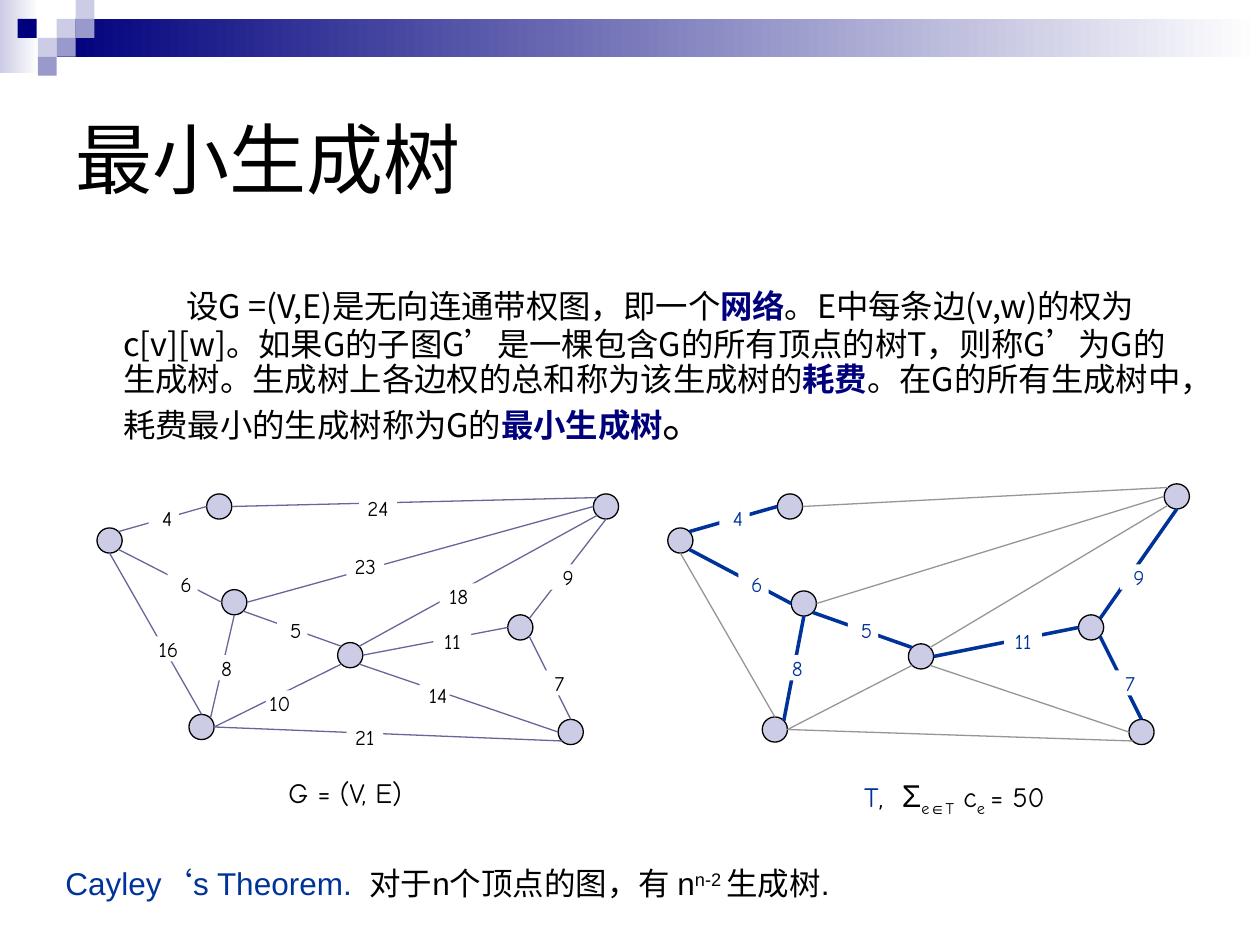
from dataclasses import dataclass
from math import cos, radians, sin

from lxml import etree
from pptx import Presentation
from pptx.dml.color import RGBColor
from pptx.enum.shapes import MSO_CONNECTOR, MSO_SHAPE
from pptx.enum.text import MSO_ANCHOR, PP_ALIGN
from pptx.oxml.ns import qn
from pptx.util import Inches, Pt

RECT, OVAL = MSO_SHAPE.RECTANGLE, MSO_SHAPE.OVAL
STRAIGHT = MSO_CONNECTOR.STRAIGHT
TOP, MIDDLE = MSO_ANCHOR.TOP, MSO_ANCHOR.MIDDLE
LEFT, CENTER = PP_ALIGN.LEFT, PP_ALIGN.CENTER


@dataclass(frozen=True)
class Theme:
    black: str = "000000"
    white: str = "FFFFFF"
    navy: str = "00007D"
    lilac: str = "CCCCE6"
    violet: str = "9999CC"
    edge: str = "666699"
    tree: str = "003399"
    faded: str = "969696"
    cjk: str = "Noto Sans CJK SC"
    latin: str = "Arial"
    hand: str = "Comic Neue"
    title: float = 44
    large: float = 25.9
    body: float = 18.5
    theorem: float = 18
    caption: float = 16
    weight: float = 12


theme = Theme()
deck = Presentation()
deck.slide_width, deck.slide_height = Inches(10), Inches(7.5)
page = deck.slides.add_slide(deck.slide_layouts[6])


def add_block(kind, left, top, width, height, color, end_color=None):
    """Add a borderless shape, flat or with a left-to-right gradient."""
    block = page.shapes.add_shape(
        kind, Inches(left), Inches(top), Inches(width), Inches(height))
    block.shadow.inherit = False
    block.line.fill.background()
    if end_color:
        block.fill.gradient()
        block.fill.gradient_angle = 0
        for stop, shade in zip(block.fill.gradient_stops, (color, end_color)):
            stop.color.rgb = RGBColor.from_string(shade)
    else:
        block.fill.solid()
        block.fill.fore_color.rgb = RGBColor.from_string(color)
    return block


def write(box, spans, font, size, color=theme.black, inset=(0.1, 0.05),
          anchor=TOP, **layout):
    """Fill a box with one paragraph; each span is (text, changes)."""
    frame = box.text_frame
    side, edge = map(Inches, inset)
    for name, value in {"word_wrap": True, "vertical_anchor": anchor,
                        "margin_left": side, "margin_right": side,
                        "margin_top": edge, "margin_bottom": edge}.items():
        setattr(frame, name, value)
    para = frame.paragraphs[0]
    for name, value in {"alignment": LEFT, **layout}.items():
        setattr(para, name, value)
    for text, changes in spans:
        style = {"font": font, "size": size, "color": color, "bold": False,
                 "baseline": 0, **changes}
        span = para.add_run()
        span.text = text
        for name, value in {"name": style["font"], "size": Pt(style["size"]),
                            "bold": style["bold"]}.items():
            setattr(span.font, name, value)
        span.font.color.rgb = RGBColor.from_string(style["color"])
        properties = span.font._element
        if style["baseline"]:
            properties.set("baseline", str(style["baseline"] * 1000))
        etree.SubElement(properties, qn("a:ea"), typeface=theme.cjk)
    return para


# Header band and its small squares
add_block(RECT, 0, 0, 0.31, 0.58, theme.lilac, theme.white)
add_block(RECT, 0.45, 0.15, 9.55, 0.3, theme.navy, theme.white)
for left, top, color in [
        (0.45, 0.15, theme.lilac), (0.6, 0, theme.lilac),
        (0.6, 0.15, theme.violet), (0.3, 0.3, theme.lilac),
        (0.14, 0.15, theme.navy), (0.45, 0.3, theme.violet),
        (0.3, 0.45, theme.violet)]:
    add_block(RECT, left, top, 0.15, 0.15, color)

# Title
title_box = page.shapes.add_textbox(
    Inches(0.5), Inches(0.5), Inches(9), Inches(1.5))
write(title_box, [("最小生成树", {})], theme.cjk, theme.title, anchor=MIDDLE)

# Definition
term = {"color": theme.navy, "bold": True}
arial = {"font": theme.latin}
definition_box = page.shapes.add_textbox(
    Inches(0.5), Inches(2.17), Inches(9), Inches(2.42))
definition = write(definition_box, [
    ("\t\t", {"size": theme.large}),
    ("设G =(V,E)是无向连通带权图，即一个", {}),
    ("网络", term),
    ("。E中每条边(v,w)的权为c[v][w]。如果G的子图G", {}),
    ("’", arial),
    ("是一棵包含G的所有顶点的树T，则称G", {}),
    ("’", arial),
    ("为G的生成树。生成树上各边权的总和称为该生成树的", {}),
    ("耗费", term),
    ("。在G的所有生成树中，耗费最小的生成树称为G的", {}),
    ("最小生成树", term),
    ("。", {"size": theme.large}),
], theme.cjk, theme.body, line_spacing=0.9, space_before=Pt(7))
definition_format = definition._p.get_or_add_pPr()
for name, value in {"marL": 0.38, "indent": -0.38}.items():
    definition_format.set(name, str(Inches(value)))

# Vertices: left and top of each circle in the two drawings
DIAMETER = 0.2
graph_vertices = {
    "a": (0.77, 4.19), "h": (4.71, 3.92), "g": (4.43, 5.71), "b": (1.64, 3.92),
    "c": (1.76, 4.68), "d": (1.5, 5.67), "f": (4.03, 4.88), "e": (2.68, 5.1)}
tree_vertices = {
    "a": (5.3, 4.19), "h": (9.24, 3.84), "g": (8.96, 5.71), "b": (6.17, 3.92),
    "c": (6.28, 4.69), "d": (6.05, 5.69), "f": (8.56, 4.88), "e": (7.21, 5.11)}
TREE_SHIFT = 4.53

# Edges: start, its side, end, its side, weight, label left, top, width, in tree
ANGLES = {side: 45 * step for step, side in
          enumerate(["E", "SE", "S", "SW", "W", "NW", "N", "NE"])}
edges = [
    ("a", "NE", "b", "W", " 4", 1.18, 4.01, 0.24, True),
    ("a", "SE", "c", "W", " 6", 1.33, 4.54, 0.24, True),
    ("a", "S", "d", "N", " 16", 1.19, 5.05, 0.24, False),
    ("c", "E", "h", "W", "23", 2.75, 4.39, 0.3, False),
    ("f", "NE", "h", "S", "9", 4.36, 4.48, 0.3, True),
    ("c", "SE", "e", "NW", " 5", 2.2, 4.9, 0.24, True),
    ("e", "SE", "g", "W", " 14", 3.33, 5.42, 0.24, False),
    ("e", "E", "f", "W", "11", 3.44, 4.99, 0.3, True),
    ("f", "SE", "g", "N", "7", 4.29, 5.32, 0.3, True),
    ("h", "SW", "e", "NE", "18", 3.49, 4.63, 0.3, False),
    ("c", "S", "d", "NE", " 8", 1.65, 5.2, 0.24, True),
    ("d", "E", "e", "SW", "10 ", 2.11, 5.48, 0.28, False),
    ("b", "E", "h", "NW", "24", 2.85, 3.93, 0.3, False),
    ("d", "E", "g", "SW", "21", 2.75, 5.75, 0.29, False)]

# Graph on the left, its minimum spanning tree on the right
for vertices, shift, tree_only in [(graph_vertices, 0, False),
                                   (tree_vertices, TREE_SHIFT, True)]:
    for left, top in vertices.values():
        vertex = add_block(OVAL, left, top, DIAMETER, DIAMETER, theme.lilac)
        vertex.line.color.rgb = RGBColor.from_string(theme.black)
        vertex.line.width = Pt(0.75)

    for start, start_side, end, end_side, *_, in_tree in edges:
        ends = []
        for vertex, side in [(start, start_side), (end, end_side)]:
            angle = radians(ANGLES[side])
            for corner, direction in zip(vertices[vertex], (cos, sin)):
                ends.append(Inches(corner + DIAMETER / 2 * (1 + direction(angle))))
        edge = page.shapes.add_connector(STRAIGHT, *ends)
        bold = tree_only and in_tree
        color = theme.tree if bold else theme.faded if tree_only else theme.edge
        edge.line.color.rgb = RGBColor.from_string(color)
        edge.line.width = Pt(2 if bold else 0.75)
        etree.SubElement(edge._element.spPr, qn("a:effectLst"))

    for *_, weight, left, top, width, in_tree in edges:
        if in_tree or not tree_only:
            label = add_block(RECT, left + shift, top, width, 0.2, theme.white)
            write(label, [(weight, {})], theme.hand, theme.weight,
                  theme.tree if tree_only else theme.black, inset=(0, 0),
                  alignment=CENTER, space_before=Pt(7.5))

# Captions under the drawings
sub = {"baseline": -25}
blue = {"color": theme.tree}
for left, width, height, spans in [
        (2.19, 1.42, 0.37, [("G = (V, E)", {})]),
        (6.76, 1.83, 0.43, [
            ("T", blue), (",  ", {}),
            ("Σ", {**arial, "size": theme.theorem}),
            ("e", sub), ("∈", {**sub, **arial}), ("T", sub),
            (" c", {}), ("e ", sub), ("= 50", {})])]:
    caption_box = page.shapes.add_textbox(
        Inches(left), Inches(6.11), Inches(width), Inches(height))
    write(caption_box, spans, theme.hand, theme.caption, space_before=Pt(10))

# Theorem
theorem_box = page.shapes.add_textbox(
    Inches(0.42), Inches(6.75), Inches(7.08), Inches(0.46))
write(theorem_box, [
    ("Cayley‘s Theorem.  ", blue), ("对于n个顶点的图，有 n", {}),
    ("n-2 ", {"baseline": 30}), ("生成树.", {}),
], theme.latin, theme.theorem, line_spacing=Pt(26), space_before=Pt(11.2))

deck.save("out.pptx")
